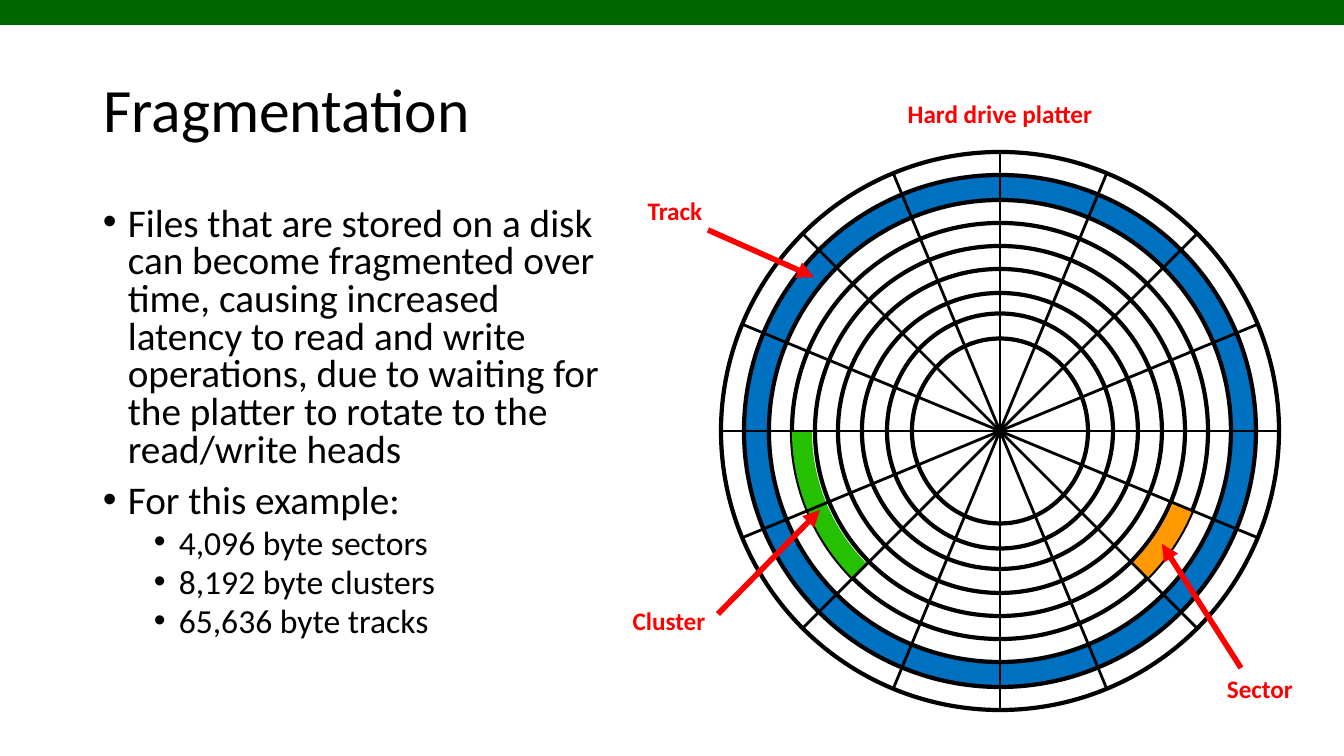
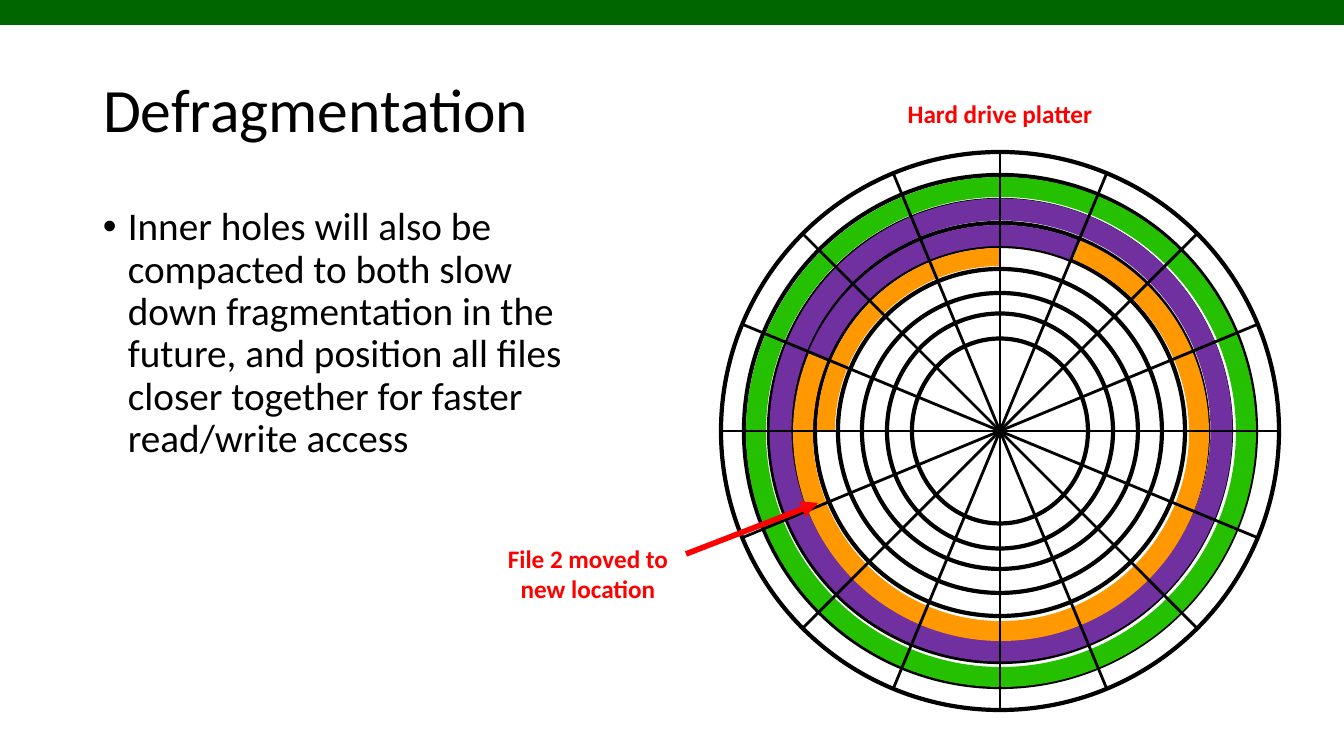
import math
from dataclasses import dataclass

from lxml import etree
from pptx import Presentation
from pptx.dml.color import RGBColor
from pptx.enum.shapes import MSO_CONNECTOR, MSO_SHAPE
from pptx.enum.text import MSO_ANCHOR, MSO_AUTO_SIZE, PP_ALIGN
from pptx.oxml.ns import qn
from pptx.util import Emu, Pt

STRAIGHT = MSO_CONNECTOR.STRAIGHT
RECTANGLE, ELLIPSE = MSO_SHAPE.RECTANGLE, MSO_SHAPE.OVAL
DONUT, BLOCK_ARC = MSO_SHAPE.DONUT, MSO_SHAPE.BLOCK_ARC
LEFT, CENTER = PP_ALIGN.LEFT, PP_ALIGN.CENTER
MIDDLE, NO_AUTOFIT = MSO_ANCHOR.MIDDLE, MSO_AUTO_SIZE.NONE

# Shared measures and style
SLIDE_WIDTH, SLIDE_HEIGHT = 1344, 756
EMU_PER_PX = 12192000 / SLIDE_WIDTH
FONT = "Calibri"
BLACK, RED, STRIP_GREEN = "000000", "FF0000", "006600"
BLUE, ORANGE, GREEN, PURPLE = "0070C0", "FF9801", "25C000", "7030A0"

# Platter geometry
HUB_X, HUB_Y, RADIUS = 1000, 431, 279
SECTORS = 16
SECTOR_ANGLE = 360 / SECTORS
ANGLE_UNIT = 0.6  # adjustment units in one degree


@dataclass(frozen=True)
class Ring:
    width: int
    height: int
    thickness: int


@dataclass(frozen=True)
class Stretch:
    """Coloured run of sectors, counted clockwise from three o'clock."""
    color: str
    diameter: int
    thickness: int
    first: int
    stop: int
    dx: int = 0
    dy: int = 0


@dataclass(frozen=True)
class Label:
    text: str
    left: int
    top: int
    height: int = 40


@dataclass(frozen=True)
class Arrow:
    x1: int
    y1: int
    x2: int
    y2: int


@dataclass(frozen=True)
class Bullet:
    text: str
    level: int = 0


@dataclass(frozen=True)
class Page:
    title: str
    bullets: list[Bullet]
    line_spacing: float
    stretches: list[Stretch]
    labels: list[Label]
    arrows: list[Arrow]
    outer_track: str | None = None


RINGS = [Ring(512, 512, 25), Ring(416, 416, 23), Ring(324, 324, 24), Ring(226, 235, 25)]
PLATTER_LABEL = Label("Hard drive platter", 895, 93)

PAGES = [
    Page(
        "Fragmentation",
        [
            Bullet("Files that are stored on a disk can become fragmented over time, "
                   "causing increased latency to read and write operations, due to "
                   "waiting for the platter to rotate to the read/write heads"),
            Bullet("For this example:"),
            Bullet("4,096 byte sectors", 1),
            Bullet("8,192 byte clusters", 1),
            Bullet("65,636 byte tracks", 1),
        ],
        0.8,
        [Stretch(ORANGE, 416, 21, 1, 2), Stretch(GREEN, 416, 20, 6, 8)],
        [Label("Track", 570, 190), Label("Cluster", 564, 600), Label("Sector", 1155, 668)],
        [Arrow(708, 230, 814, 277), Arrow(1241, 668, 1162, 544), Arrow(718, 614, 820, 510)],
        outer_track=BLUE,
    ),
    Page(
        "Defragmentation",
        [
            Bullet("Inner holes will also be compacted to both slow down fragmentation "
                   "in the future, and position all files closer together for faster "
                   "read/write access"),
        ],
        0.9,
        [
            Stretch(PURPLE, 463, 22, 0, 16, 1, -1),
            Stretch(PURPLE, 416, 21, 9, 13, 0, 2),
            Stretch(ORANGE, 366, 18, 8, 12),
            Stretch(GREEN, 510, 20, 0, 16, 1, 1),
            Stretch(ORANGE, 416, 20, 13, 25, 1, 2),
        ],
        [Label("File 2 moved to new location", 483, 538, 72)],
        [Arrow(686, 554, 818, 503)],
    ),
]


def px(length: float) -> Emu:
    return Emu(round(length * EMU_PER_PX))


def rgb(color: str) -> RGBColor:
    return RGBColor.from_string(color)


def write(paragraph, text: str, *, size: int, color: str = BLACK, bold: bool = False,
          align=LEFT, spacing: float = 1.0, before: int = 0) -> None:
    paragraph.alignment = align
    paragraph.line_spacing = spacing
    paragraph.space_before = Pt(before)
    run = paragraph.add_run()
    run.text = text
    run.font.name = FONT
    run.font.size = Pt(size)
    run.font.bold = bold
    run.font.color.rgb = rgb(color)


def add_box(slide, left: int, top: int, width: int, height: int):
    frame = slide.shapes.add_textbox(px(left), px(top), px(width), px(height)).text_frame
    frame.word_wrap = True
    return frame


def add_outline(slide, kind, left: float, top: float, width: int, height: int, *,
                fill: str | None = None, line: int = 0):
    shape = slide.shapes.add_shape(kind, px(left), px(top), px(width), px(height))
    shape.shadow.inherit = False
    if fill:
        shape.fill.solid()
        shape.fill.fore_color.rgb = rgb(fill)
    else:
        shape.fill.background()
    if line:
        shape.line.color.rgb = rgb(BLACK)
        shape.line.width = Pt(line)
    else:
        shape.line.fill.background()
    return shape


def add_line(slide, x1: float, y1: float, x2: float, y2: float, *,
             color: str, width: int, arrow: bool = False) -> None:
    connector = slide.shapes.add_connector(STRAIGHT, px(x1), px(y1), px(x2), px(y2))
    connector.line.color.rgb = rgb(color)
    connector.line.width = Pt(width)
    if arrow:
        etree.SubElement(connector.line._get_or_add_ln(), qn("a:tailEnd"), type="triangle")
    etree.SubElement(connector._element.spPr, qn("a:effectLst"))


def add_title(slide, text: str) -> None:
    title = slide.shapes.title
    title.left, title.top, title.width, title.height = px(93), px(40), px(1159), px(146)
    frame = title.text_frame
    frame.auto_size = NO_AUTOFIT
    frame.vertical_anchor = MIDDLE
    write(frame.paragraphs[0], text, size=44, spacing=0.9)


def add_bullets(slide, bullets: list[Bullet], spacing: float) -> None:
    frame = add_box(slide, 93, 202, 516, 480)
    for index, bullet in enumerate(bullets):
        paragraph = frame.add_paragraph() if index else frame.paragraphs[0]
        paragraph.level = bullet.level
        properties = paragraph._p.get_or_add_pPr()
        properties.set("marL", str(px(25 + 51 * bullet.level)))
        properties.set("indent", str(px(-25)))
        etree.SubElement(properties, qn("a:buFont"), typeface="Arial")
        etree.SubElement(properties, qn("a:buChar"), char="•")
        before = 5 if bullet.level else 10
        write(paragraph, bullet.text, size=28 - 4 * bullet.level, spacing=spacing,
              before=before if index else 0)


def add_label(slide, label: Label) -> None:
    frame = add_box(slide, label.left, label.top, 210, label.height)
    frame.margin_left = frame.margin_right = frame.margin_top = frame.margin_bottom = px(5)
    write(frame.paragraphs[0], label.text, size=18, color=RED, bold=True, align=CENTER)


def add_ring(slide, ring: Ring, fill: str | None) -> None:
    donut = add_outline(slide, DONUT, HUB_X - ring.width / 2, HUB_Y - ring.height / 2,
                        ring.width, ring.height, fill=fill, line=3)
    donut.adjustments[0] = ring.thickness / min(ring.width, ring.height)


def add_stretch(slide, stretch: Stretch) -> None:
    full = stretch.stop - stretch.first == SECTORS
    size = stretch.diameter
    band = add_outline(slide, DONUT if full else BLOCK_ARC,
                       HUB_X + stretch.dx - size / 2, HUB_Y + stretch.dy - size / 2,
                       size, size, fill=stretch.color)
    if full:
        band.adjustments[0] = stretch.thickness / size
        return
    for index, sector in enumerate((stretch.first, stretch.stop)):
        band.adjustments[index] = sector % SECTORS * SECTOR_ANGLE * ANGLE_UNIT
    band.adjustments[2] = stretch.thickness / size


def add_platter(slide, page: Page) -> None:
    # Rim and tracks
    add_outline(slide, ELLIPSE, HUB_X - RADIUS, HUB_Y - RADIUS, 2 * RADIUS, 2 * RADIUS, line=3)
    for index, ring in enumerate(RINGS):
        add_ring(slide, ring, None if index else page.outer_track)
    # Stored files
    for stretch in page.stretches:
        add_stretch(slide, stretch)
    # Sector boundaries
    for spoke in range(SECTORS // 2):
        angle = math.radians(spoke * SECTOR_ANGLE)
        dx, dy = RADIUS * math.cos(angle), RADIUS * math.sin(angle)
        add_line(slide, HUB_X - dx, HUB_Y - dy, HUB_X + dx, HUB_Y + dy, color=BLACK, width=2)


def add_page(deck, page: Page) -> None:
    slide = deck.slides.add_slide(deck.slide_layouts[5])
    add_outline(slide, RECTANGLE, 0, 0, SLIDE_WIDTH, 25, fill=STRIP_GREEN)
    add_title(slide, page.title)
    add_bullets(slide, page.bullets, page.line_spacing)
    add_platter(slide, page)
    for label in [PLATTER_LABEL, *page.labels]:
        add_label(slide, label)
    for arrow in page.arrows:
        add_line(slide, arrow.x1, arrow.y1, arrow.x2, arrow.y2, color=RED, width=4, arrow=True)


def main() -> None:
    deck = Presentation()
    deck.slide_width, deck.slide_height = px(SLIDE_WIDTH), px(SLIDE_HEIGHT)
    for page in PAGES:
        add_page(deck, page)
    deck.save("out.pptx")


if __name__ == "__main__":
    main()
